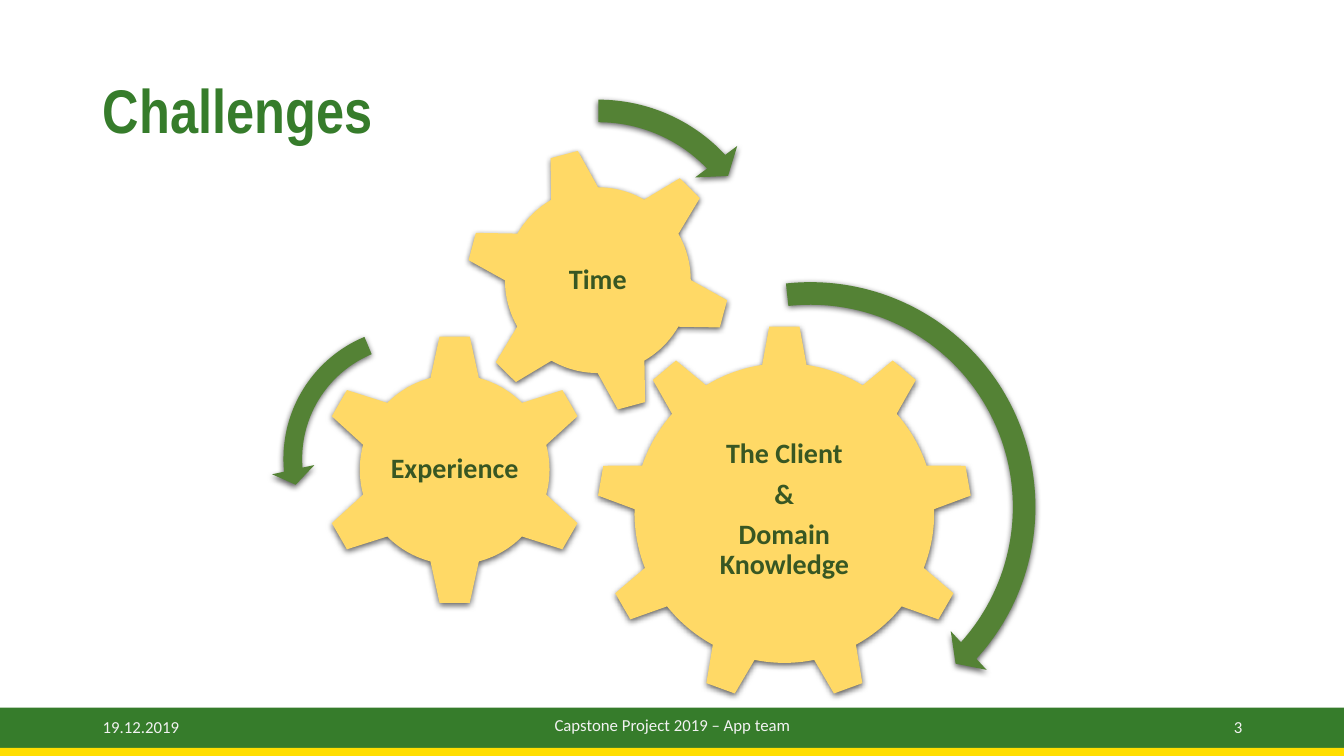
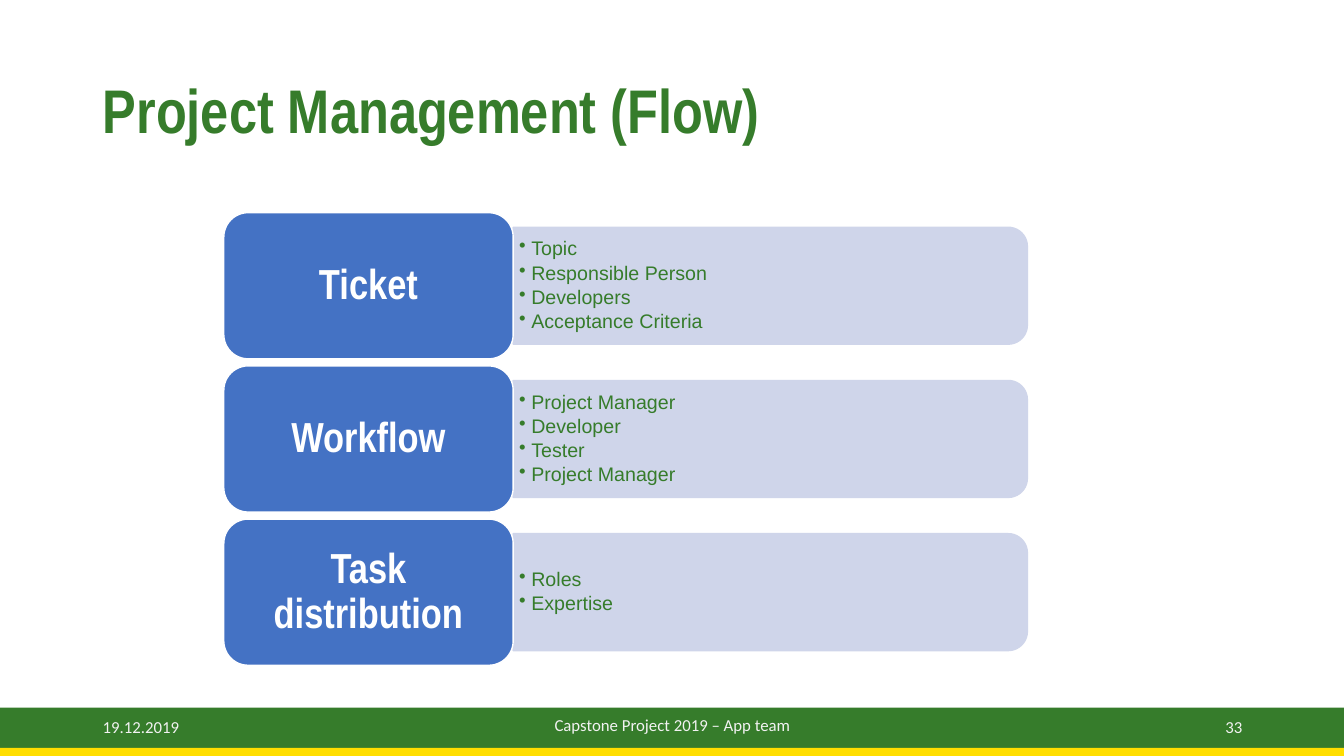
from math import asin, cos, hypot, pi, radians, sin

from lxml.etree import SubElement
from pptx import Presentation
from pptx.dml.color import RGBColor
from pptx.enum.shapes import MSO_SHAPE
from pptx.enum.text import MSO_ANCHOR, PP_ALIGN
from pptx.oxml.ns import qn
from pptx.util import Inches, Pt

COLORS = {
    "green": "367C2B", "yellow": "FFDE00", "footer": "F2F2F2", "white": "FFFFFF",
    "gear": "FFD966", "gear_text": "385723", "arrow": "548235",
    "label": "4472C4", "detail": "CFD5EA", "shadow": "000000",
}
W, H = 13.33, 7.5

# ---- Content ----
FOOTER, DATE = "Capstone Project 2019 – App team", "19.12.2019"

# teeth, centre, root and tip (half width, height above centre), turn, text inset
GEARS = [
    (["The Client", "&", "Domain Knowledge"], 9, (7.78, 5.09), (0.22, 1.47), (0.15, 1.85), 0, 0.78),
    (["Experience"], 6, (4.51, 4.66), (0.24, 0.91), (0.15, 1.32), 0, 0.4),
    (["Time"], 6, (5.93, 2.78), (0.24, 0.89), (0.14, 1.29), -15, 0.6),
]
# shape, left, top, size, rotation, adjustments
ARROWS = [
    (MSO_SHAPE.CIRCULAR_ARROW, 5.66, 2.65, 4.76, 0, (0.047, 2.99, 25.344, 158.226, 0.055)),
    (MSO_SHAPE.LEFT_CIRCULAR_ARROW, 2.69, 3.12, 2.86, 0, (0.065, 4.3, 104.891, 148.378, 0.075)),
    (MSO_SHAPE.CIRCULAR_ARROW, 4.07, 0.84, 3.73, 94.8, (0.06, 3.941, 133.138, 105.082, 0.07)),
]
FLOW = [
    ("Ticket", ["Topic", "Responsible Person", "Developers", "Acceptance Criteria"]),
    ("Workflow", ["Project Manager", "Developer", "Tester", "Project Manager"]),
    ("Task distribution", ["Roles", "Expertise"]),
]


# ---- Shared helpers ----
def rgb(name):
    return RGBColor.from_string(COLORS[name])


def paint(sp, fill, line=None):
    sp.shadow.inherit = False
    sp.fill.solid()
    sp.fill.fore_color.rgb = rgb(fill)
    if line:
        sp.line.color.rgb = rgb(line)
        sp.line.width = Pt(1)
    else:
        sp.line.fill.background()


def write(sp, lines, size, font, color, bold=False, align=PP_ALIGN.LEFT,
          insets=(0.1, 0.05, 0.1, 0.05), spacing=None, after=0, bullet=False):
    tf = sp.text_frame
    tf.text = "\n".join(lines)
    tf.word_wrap = True
    tf.vertical_anchor = MSO_ANCHOR.MIDDLE
    tf.margin_left, tf.margin_top, tf.margin_right, tf.margin_bottom = map(Inches, insets)
    for p in tf.paragraphs:
        if bullet:
            pPr = p._p.get_or_add_pPr()
            pPr.set("marL", str(Inches(0.12)))
            pPr.set("indent", str(-Inches(0.12)))
            SubElement(pPr, qn("a:buChar"), char="•")
        p.alignment = align
        p.space_after = Pt(after)
        if spacing:
            p.line_spacing = spacing
        for r in p.runs:
            r.font.size, r.font.name, r.font.bold = Pt(size), font, bold
            r.font.color.rgb = rgb(color)


def add_shape(s, kind, x, y, w, h, fill, line=None):
    sp = s.shapes.add_shape(kind, *map(Inches, (x, y, w, h)))
    paint(sp, fill, line)
    return sp


def add_outline(s, points, fill, line=None):
    pts = [(Inches(x), Inches(y)) for x, y in points]
    fb = s.shapes.build_freeform(*pts[0])
    fb.add_line_segments(pts[1:], close=True)
    sp = fb.convert_to_shape()
    paint(sp, fill, line)
    return sp


def arc(cx, cy, radius, start, end, steps=10):
    """Points on a circle; angles in radians, clockwise from the top."""
    angles = [start + (end - start) * i / steps for i in range(steps + 1)]
    return [(cx + radius * sin(a), cy - radius * cos(a)) for a in angles]


def drop_shadow(sp):
    effects = sp._element.spPr.find(qn("a:effectLst"))
    shadow = SubElement(effects, qn("a:outerShdw"), blurRad=str(Pt(4.5)),
                        dist=str(Pt(1.5)), dir="5400000", rotWithShape="0")
    color = SubElement(shadow, qn("a:srgbClr"), val=COLORS["shadow"])
    SubElement(color, qn("a:alpha"), val="63000")


def add_slide(prs, title, number):
    s = prs.slides.add_slide(prs.slide_layouts[5])
    sp = s.shapes.title
    sp.left, sp.top, sp.width, sp.height = map(Inches, (0.92, 0.4, 11.5, 1.45))
    write(sp, [title], 44, "Arial Narrow", "green", bold=True, spacing=0.9)
    # Footer bands and texts
    add_shape(s, MSO_SHAPE.RECTANGLE, 0, 7.02, W, 0.4, "green")
    add_shape(s, MSO_SHAPE.RECTANGLE, 0, 7.42, W, 0.08, "yellow")
    for text, x, y, w, align in [
        (FOOTER, 4.42, 6.99, 4.5, PP_ALIGN.CENTER),
        (DATE, 0.92, 7.01, 3, PP_ALIGN.LEFT),
        (str(number), 9.42, 7.01, 3, PP_ALIGN.RIGHT),
    ]:
        box = s.shapes.add_textbox(*map(Inches, (x, y, w, 0.4)))
        write(box, [text], 12, "Calibri", "footer", align=align)
    return s


# ---- Slide parts ----
def gear_points(teeth, center, root, tip, turn):
    root_r, tip_r = hypot(*root), hypot(*tip)
    root_a, tip_a = asin(root[0] / root_r), asin(tip[0] / tip_r)
    step = 2 * pi / teeth
    points = []
    for i in range(teeth):
        mid = radians(turn) + i * step
        points += arc(*center, tip_r, mid - tip_a, mid + tip_a, steps=1)
        points += arc(*center, root_r, mid + root_a, mid + step - root_a)
    return points


def challenges(prs):
    s = add_slide(prs, "Challenges", 3)
    for lines, teeth, center, root, tip, turn, inset in GEARS:
        sp = add_outline(s, gear_points(teeth, center, root, tip, turn), "gear")
        drop_shadow(sp)
        write(sp, lines, 20, "Calibri", "gear_text", bold=True, align=PP_ALIGN.CENTER,
              insets=(inset,) * 4, spacing=0.9, after=7)
    for kind, x, y, size, rotation, adjustments in ARROWS:
        sp = add_shape(s, kind, x, y, size, size, "arrow")
        sp.rotation = rotation
        for i, value in enumerate(adjustments):
            sp.adjustments[i] = value
        drop_shadow(sp)


def project_flow(prs):
    s = add_slide(prs, "Project Management (Flow)", 33)
    left, top, pitch = 2.22, 2.11, 1.52
    label_w, label_h, detail_w, detail_h = 2.87, 1.45, 5.1, 1.16
    corner = 0.19
    x, right = left + label_w, left + label_w + detail_w
    for i, (label, items) in enumerate(FLOW):
        y = top + i * pitch
        # Detail panel, rounded on its right side
        y1 = y + (label_h - detail_h) / 2
        y2 = y1 + detail_h
        points = [(x, y1)]
        points += arc(right - corner, y1 + corner, corner, 0, pi / 2)
        points += arc(right - corner, y2 - corner, corner, pi / 2, pi)
        sp = add_outline(s, points + [(x, y2)], "detail", "detail")
        write(sp, items, 14, "Arial", "green", insets=(0.06, 0.09, 0.11, 0.09),
              spacing=0.9, after=2.1, bullet=True)
        # Label
        sp = add_shape(s, MSO_SHAPE.ROUNDED_RECTANGLE, left, y, label_w, label_h, "label", "white")
        write(sp, [label], 30, "Arial Narrow", "white", bold=True, align=PP_ALIGN.CENTER,
              insets=(0.13, 0.06, 0.13, 0.06), spacing=0.9)


def main():
    prs = Presentation()
    prs.slide_width, prs.slide_height = Inches(W), Inches(H)
    challenges(prs)
    project_flow(prs)
    prs.save("out.pptx")


if __name__ == "__main__":
    main()
